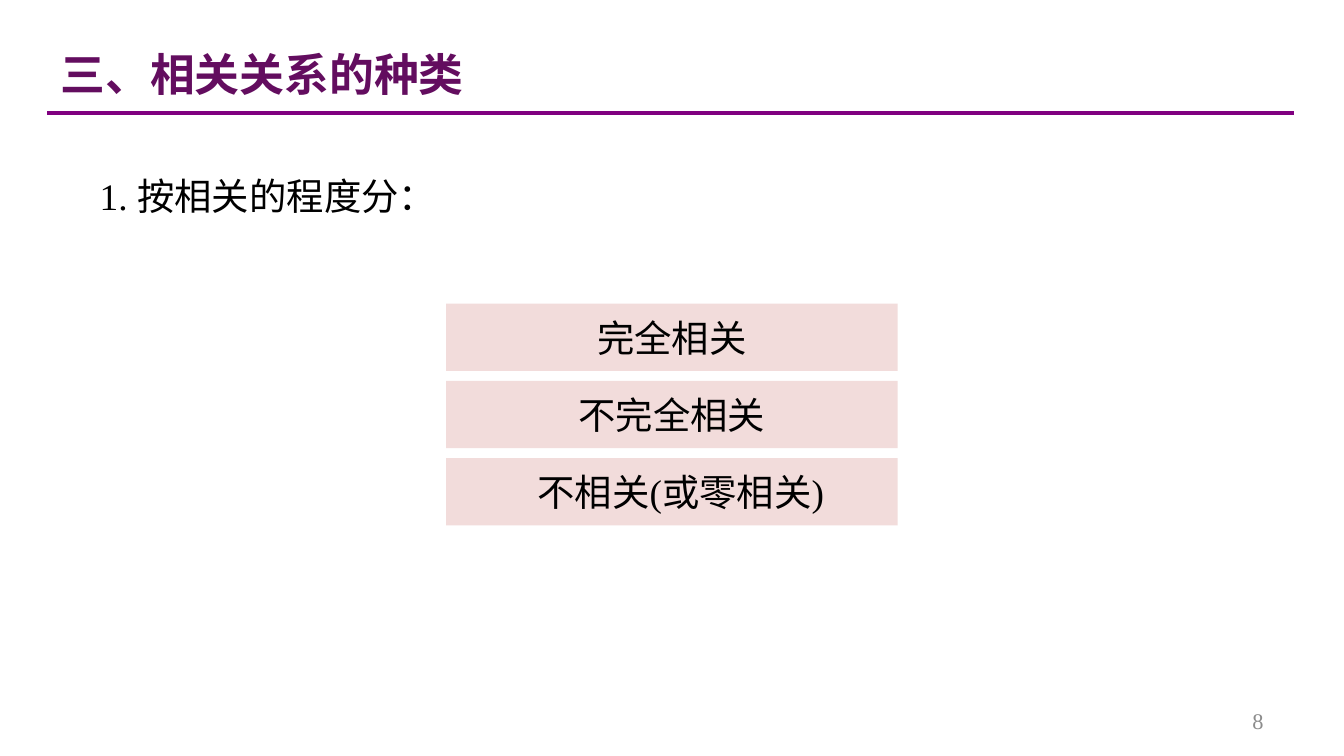
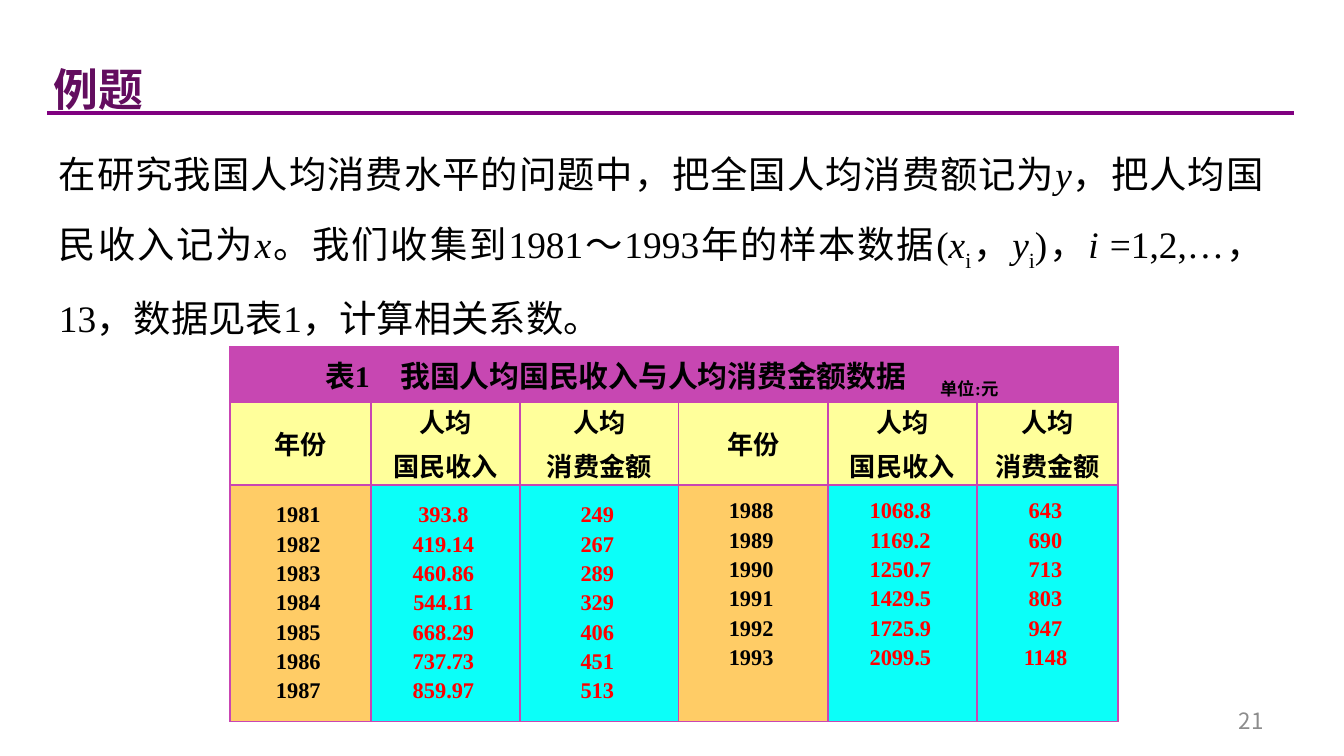
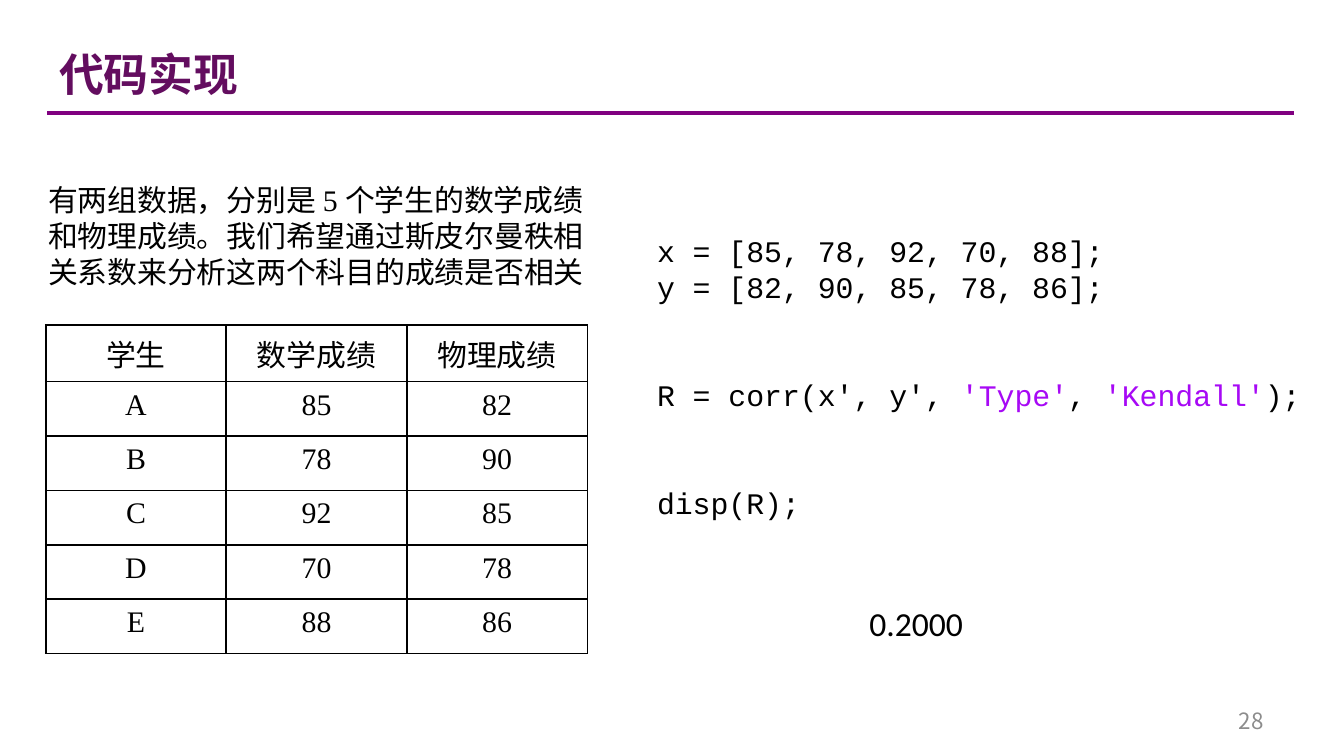
"""Build three lecture slides on correlation analysis."""
from dataclasses import dataclass

from lxml import etree
from pptx import Presentation
from pptx.dml.color import RGBColor
from pptx.enum.shapes import MSO_CONNECTOR, MSO_SHAPE
from pptx.enum.text import MSO_ANCHOR, MSO_AUTO_SIZE, PP_ALIGN
from pptx.oxml.ns import qn
from pptx.util import Inches, Pt

LEFT, CENTER, RIGHT, JUSTIFY = PP_ALIGN.LEFT, PP_ALIGN.CENTER, PP_ALIGN.RIGHT, PP_ALIGN.JUSTIFY
TOP, MIDDLE = MSO_ANCHOR.TOP, MSO_ANCHOR.MIDDLE
NO_AUTOFIT = MSO_AUTO_SIZE.NONE
RECTANGLE, STRAIGHT = MSO_SHAPE.RECTANGLE, MSO_CONNECTOR.STRAIGHT


@dataclass(frozen=True)
class Theme:
    text: str = "000000"
    title: str = "630D5F"
    rule: str = "800080"
    number: str = "8C8C8C"
    label: str = "F2DCDB"
    banner: str = "C747B2"
    border: str = "C945B3"
    heading: str = "FFFF9B"
    year: str = "FFCC66"
    value: str = "0BFFF9"
    value_text: str = "FF0000"
    string: str = "A709F5"
    serif: str = "Times New Roman"
    sans: str = "Noto Sans CJK SC"
    code: str = "Courier New"
    result: str = "Calibri"
    title_size: int = 24
    body_size: int = 20
    result_size: int = 18
    small_size: int = 16
    heading_size: int = 14
    note_size: int = 12
    tight_line: float = 19.3


theme = Theme()


def write(frame, paragraphs, size, font=theme.serif, color=theme.text, align=LEFT,
          bold=False, line=None, gaps=None, tabs=()):
    """Fill a text frame; a paragraph is a string or a list of (text, style) runs."""
    frame.word_wrap = True
    for index, runs in enumerate(paragraphs):
        paragraph = frame.paragraphs[0] if index == 0 else frame.add_paragraph()
        properties = paragraph._p.get_or_add_pPr()
        if tabs:
            tab_list = etree.SubElement(properties, qn("a:tabLst"))
            for stop in tabs:
                etree.SubElement(tab_list, qn("a:tab"), pos=str(Inches(stop)), algn="l")
        paragraph.alignment = align
        if line:
            paragraph.line_spacing = line
        if gaps and index:
            paragraph.space_before = Pt(gaps[index])
        paragraph.font.size = Pt(size)
        paragraph.font.bold = bold
        paragraph.font.color.rgb = RGBColor.from_string(color)
        paragraph.font.name = font
        east_asian = etree.Element(qn("a:ea"), typeface=theme.sans)
        properties.find(qn("a:defRPr")).find(qn("a:latin")).addnext(east_asian)
        for text, style in [(runs, "")] if isinstance(runs, str) else runs:
            run = paragraph.add_run()
            run.text = text
            if style == "italic":
                run.font.italic = True
            elif style == "subscript":
                run._r.get_or_add_rPr().set("baseline", "-25000")
            elif style == "string":
                run.font.color.rgb = RGBColor.from_string(theme.string)


def frame_cell(cell, border, fill=None):
    """Give a cell four borders and a fill."""
    properties = cell._tc.get_or_add_tcPr()
    for side in ("lnL", "lnR", "lnT", "lnB"):
        edge = etree.SubElement(properties, qn(f"a:{side}"), w=str(Pt(1)))
        solid = etree.SubElement(edge, qn("a:solidFill"))
        etree.SubElement(solid, qn("a:srgbClr"), val=border)
    if fill:
        cell.fill.solid()
        cell.fill.fore_color.rgb = RGBColor.from_string(fill)
    else:
        cell.fill.background()


presentation = Presentation()
presentation.slide_width = Inches(10)
presentation.slide_height = presentation.slide_width * 9 // 16
title_only = presentation.slide_layouts[5]

slides = []
for title, box, anchor, align, title_font, number, number_font in (
    ("三、相关关系的种类", (0.35, -0.18, 8.5, 1.25), MIDDLE, LEFT, theme.sans, "8", theme.serif),
    ("例题", (0.3, 0.21, 5, 0.61), TOP, JUSTIFY, theme.sans, "21", theme.sans),
    ("代码实现", (0.34, -0.18, 10.09, 1.25), MIDDLE, JUSTIFY, theme.serif, "28", theme.sans),
):
    slide = presentation.slides.add_slide(title_only)
    rule = slide.shapes.add_connector(STRAIGHT, Inches(0.35), Inches(0.84), Inches(9.63), Inches(0.84))
    rule.line.color.rgb = RGBColor.from_string(theme.rule)
    rule.line.width = Pt(2.25)
    etree.SubElement(rule._element.spPr, qn("a:effectLst"))

    heading = slide.shapes.title
    heading.left, heading.top, heading.width, heading.height = map(Inches, box)
    heading.text_frame.auto_size = NO_AUTOFIT
    heading.text_frame.vertical_anchor = anchor
    write(heading.text_frame, [title], theme.title_size, title_font, theme.title, align, bold=True, line=1.5)

    page = slide.shapes.add_textbox(Inches(7.17), Inches(5.21), Inches(2.33), Inches(0.3))
    page.text_frame.vertical_anchor = MIDDLE
    write(page.text_frame, [number], theme.note_size, number_font, theme.number, RIGHT)
    slides.append(slide)

kinds_slide, example_slide, code_slide = slides

criterion = kinds_slide.shapes.add_textbox(Inches(0.59), Inches(1.07), Inches(2.53), Inches(0.56))
write(criterion.text_frame, ["1. 按相关的程度分："], theme.body_size, align=CENTER, line=1.5)
criterion.text_frame.word_wrap = False

for index, (kind, inset) in enumerate((("完全相关", 0.1), ("不完全相关", 0.1), ("不相关(或零相关)", 0.23))):
    label = kinds_slide.shapes.add_shape(
        RECTANGLE, Inches(3.32), Inches(2.26 + 0.575 * index), Inches(3.36), Inches(0.5))
    label.shadow.inherit = False
    label.fill.solid()
    label.fill.fore_color.rgb = RGBColor.from_string(theme.label)
    label.line.fill.background()
    label.text_frame.vertical_anchor = MIDDLE
    label.text_frame.margin_left = Inches(inset)
    write(label.text_frame, [kind], theme.body_size, align=CENTER)

problem = example_slide.shapes.add_textbox(Inches(0.34), Inches(0.91), Inches(9.16), Inches(1.55))
write(problem.text_frame, [[
    ("在研究我国人均消费水平的问题中，把全国人均消费额记为", ""), ("y", "italic"),
    ("，把人均国民收入记为", ""), ("x", "italic"),
    ("。我们收集到1981～1993年的样本数据(", ""), ("x", "italic"), ("i", "subscript"),
    ("，", ""), ("y", "italic"), ("i", "subscript"), (")，", ""), ("i ", "italic"),
    ("=1,2,…，13，数据见表1，计算相关系数。", ""),
]], theme.body_size, align=JUSTIFY, line=1.5)

income_headings = [["年份"], ["人均", "国民收入"], ["人均", "消费金额"]] * 2
income_columns = [
    ["1981", "1982", "1983", "1984", "1985", "1986", "1987"],
    ["393.8", "419.14", "460.86", "544.11", "668.29", "737.73", "859.97"],
    ["249", "267", "289", "329", "406", "451", "513"],
    ["1988", "1989", "1990", "1991", "1992", "1993"],
    ["1068.8", "1169.2", "1250.7", "1429.5", "1725.9", "2099.5"],
    ["643", "690", "713", "803", "947", "1148"],
]
income_table = example_slide.shapes.add_table(
    3, 6, Inches(1.71), Inches(2.58), Inches(6.61), Inches(2.8)).table
income_table.first_row = income_table.horz_banding = False
for column, width in zip(income_table.columns, (1.05, 1.11, 1.18, 1.11, 1.11, 1.05)):
    column.width = Inches(width)
for row, height in zip(income_table.rows, (0.41, 0.62, 1.76)):
    row.height = Inches(height)

for index, (names, values) in enumerate(zip(income_headings, income_columns)):
    is_year = index % 3 == 0
    banner_cell, heading_cell, values_cell = (income_table.cell(row, index) for row in range(3))
    frame_cell(banner_cell, theme.border, theme.banner)
    frame_cell(heading_cell, theme.border, theme.heading)
    frame_cell(values_cell, theme.border, theme.year if is_year else theme.value)
    heading_cell.margin_top = heading_cell.margin_bottom = 0
    heading_cell.vertical_anchor = values_cell.vertical_anchor = MIDDLE
    values_cell.margin_right = Inches(0.13)
    if len(values) < 7:
        values_cell.margin_bottom = Inches(0.33)
    write(heading_cell.text_frame, names, theme.heading_size, align=CENTER, bold=True, gaps=[3.3] * 2)
    write(values_cell.text_frame, values, theme.note_size, align=CENTER, bold=True, gaps=[2.4] * 7,
          color=theme.text if is_year else theme.value_text)

banner = income_table.cell(0, 0)
banner.merge(income_table.cell(0, 5))
banner.vertical_anchor = MIDDLE
banner.margin_left = Inches(0.71)
banner.margin_top, banner.margin_bottom = Inches(0.05), Inches(0.03)
write(banner.text_frame, [[("表1\t我国人均国民收入与人均消费金额数据\t", ""), ("单位:元", "subscript")]],
      theme.small_size, bold=True, tabs=(0.56, 4.58))

scores = [
    ("学生", "数学成绩", "物理成绩"),
    ("A", "85", "82"),
    ("B", "78", "90"),
    ("C", "92", "85"),
    ("D", "70", "78"),
    ("E", "88", "86"),
]
score_table = code_slide.shapes.add_table(
    len(scores), 3, Inches(0.34), Inches(2.42), Inches(4.03), Inches(2.43)).table
score_table.first_row = score_table.horz_banding = False
score_table.rows[0].height = Inches(0.42)
for row_index, row in enumerate(scores):
    for column_index, text in enumerate(row):
        cell = score_table.cell(row_index, column_index)
        frame_cell(cell, theme.text)
        write(cell.text_frame, [text], theme.small_size, align=CENTER)

question = code_slide.shapes.add_textbox(Inches(0.26), Inches(1.3), Inches(4.33), Inches(0.91))
write(question.text_frame,
      ["有两组数据，分别是 5 个学生的数学成绩和物理成绩。我们希望通过斯皮尔曼秩相关系数来分析这两个科目的成绩是否相关"],
      theme.small_size, line=Pt(theme.tight_line))

code = code_slide.shapes.add_textbox(Inches(4.79), Inches(1.68), Inches(5.21), Inches(2.26))
block_gap = 2 * theme.tight_line
write(code.text_frame, [
    "x = [85, 78, 92, 70, 88];",
    "y = [82, 90, 85, 78, 86];",
    [("R = corr(x', y', ", ""), ("'Type'", "string"), (", ", ""), ("'Kendall'", "string"), (");", "")],
    "disp(R);",
], theme.small_size, theme.code, line=Pt(theme.tight_line), gaps=[0, 0, block_gap, block_gap])

result = code_slide.shapes.add_textbox(Inches(6.37), Inches(4.44), Inches(1.02), Inches(0.4))
write(result.text_frame, ["0.2000"], theme.result_size, theme.result)

presentation.save("out.pptx")
